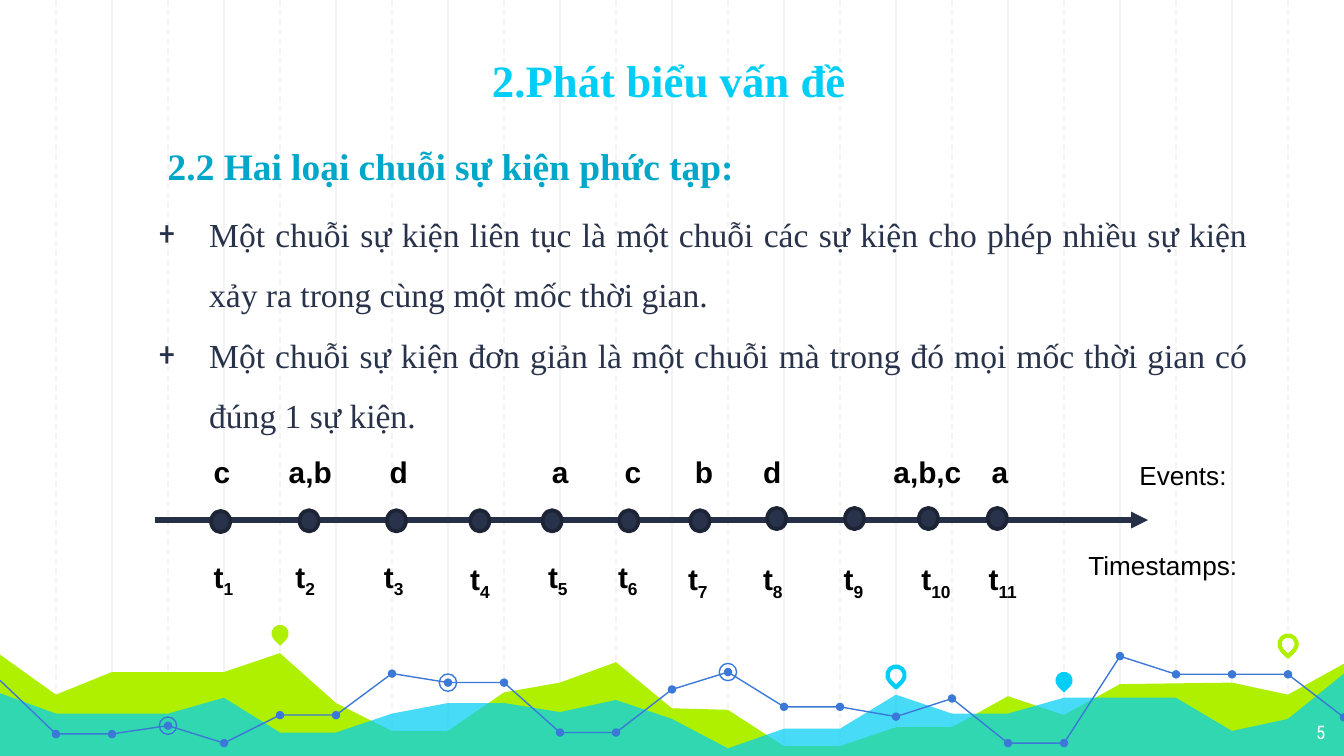
"""Build the slide on two kinds of event sequence, with a timeline above a hilly skyline."""
import pptx
import pptx.dml.color
import pptx.enum.dml
import pptx.enum.shapes
import pptx.enum.text
import pptx.oxml.xmlchemy
import pptx.util

RGBColor = pptx.dml.color.RGBColor
SHAPE = pptx.enum.shapes.MSO_SHAPE
ALIGN = pptx.enum.text.PP_ALIGN
ANCHOR = pptx.enum.text.MSO_ANCHOR

WIDTH, HEIGHT = pptx.util.Inches(10), pptx.util.Inches(5.625)
COLUMNS, ROWS = 24, 100

GRID = RGBColor(0xF3, 0xF3, 0xF3)
GREEN = RGBColor(0xAF, 0xF0, 0x00)
CYAN = RGBColor(0x00, 0xCE, 0xF6)
TEAL = RGBColor(0x00, 0xA7, 0xC8)
BLUE = RGBColor(0x3C, 0x78, 0xD8)
NAVY = RGBColor(0x28, 0x32, 0x4A)
AXIS = RGBColor(0x26, 0x2F, 0x48)
RIM = RGBColor(0x1D, 0x24, 0x36)
BLACK = RGBColor(0, 0, 0)
WHITE = RGBColor(0xFF, 0xFF, 0xFF)

BACK_HILLS = [86.6, 91.9, 88.9, 88.9, 88.9, 86.4, 93, 96.7, 96.7, 91.6, 90.3, 87.6, 93.7,
              93.9, 98.7, 98.7, 96.2, 96.2, 92.1, 94.6, 90.5, 90.4, 90.3, 91.9, 87.8]
FRONT_HILLS = [91.7, 94.4, 94.4, 94.4, 92.3, 96.9, 96.9, 94.4, 93, 93, 94.2, 92.6, 95.1,
               99, 96.4, 96.4, 91.9, 94.4, 94.4, 92.3, 92.3, 92.3, 96.7, 95.1, 89.1]
TREND = [90, 97.1, 97.1, 96, 98.3, 94.6, 94.6, 89.1, 90.3, 90.3, 96.9, 96.9, 91.2,
         88.9, 93.5, 93.5, 94.8, 92.4, 98.3, 98.3, 86.8, 89.2, 89.2, 89.2, 94.9]
TREND_BREAKS = [0, 11, 20, 24]
RINGED = [3, 8, 13]
PINS = [(5, 83.8, GREEN, True), (16, 89.3, CYAN, False),
        (19, 90, CYAN, True), (23, 85.2, GREEN, False)]

# Each moment: dot column, dot row, events, events column, timestamp column, timestamp row.
MOMENTS = [
    (3.94, 69, "c", 3.58, 3.58, 73),
    (5.52, 68.9, "a,b", 4.92, 5.04, 73),
    (7.08, 68.9, "d", 6.72, 6.62, 73),
    (8.57, 68.9, "", 0, 8.16, 73.3),
    (9.86, 68.9, "a", 9.62, 9.55, 73),
    (11.23, 68.9, "c", 10.92, 10.8, 73),
    (12.5, 68.9, "b", 12.17, 12.05, 73.3),
    (13.87, 68.6, "d", 13.39, 13.39, 73.3),
    (15.26, 68.6, "", 0, 14.83, 73.3),
    (16.58, 68.6, "a,b,c", 15.72, 16.22, 73.3),
    (17.81, 68.6, "a", 17.47, 17.42, 73.3),
]
STATEMENTS = [
    "Một chuỗi sự kiện liên tục là một chuỗi các sự kiện cho phép nhiều sự kiện "
    "xảy ra trong cùng một mốc thời gian.",
    "Một chuỗi sự kiện đơn giản là một chuỗi mà trong đó mọi mốc thời gian có đúng 1 sự kiện.",
]


def across(columns):
    """Return the length of a number of grid columns."""
    return pptx.util.Emu(round(columns * WIDTH / COLUMNS))


def down(rows):
    """Return the length of a number of grid rows."""
    return pptx.util.Emu(round(rows * HEIGHT / ROWS))


def add_element(parent, tag, **attributes):
    """Append a drawing element with its attributes."""
    element = pptx.oxml.xmlchemy.OxmlElement(tag)
    for key, value in attributes.items():
        element.set(key, value)
    parent.append(element)


def paint(shape, fill=None, line=None, weight=0.75):
    """Give a shape its fill and line, or none of either."""
    shape.shadow.inherit = False
    if fill is None:
        shape.fill.background()
    else:
        shape.fill.solid()
        shape.fill.fore_color.rgb = fill
    if line is None:
        shape.line.fill.background()
    else:
        shape.line.color.rgb = line
        shape.line.width = pptx.util.Pt(weight)


def add_mark(slide, kind, column, row, width, height, **style):
    """Add a small shape centred on a grid point, sized in columns."""
    wide, high = across(width), across(height)
    mark = slide.shapes.add_shape(
        kind, across(column) - wide // 2, down(row) - high // 2, wide, high)
    paint(mark, **style)
    return mark


def add_line(slide, start, end, color, weight, dashed=False, arrow=False):
    """Add a straight line between two grid points."""
    line = slide.shapes.add_connector(
        pptx.enum.shapes.MSO_CONNECTOR.STRAIGHT,
        across(start[0]), down(start[1]), across(end[0]), down(end[1]))
    line.line.color.rgb = color
    line.line.width = pptx.util.Pt(weight)
    if dashed:
        line.line.dash_style = pptx.enum.dml.MSO_LINE.DASH
    if arrow:
        add_element(line.line._get_or_add_ln(), "a:tailEnd", type="triangle")
    add_element(line._element.spPr, "a:effectLst")


def add_outline(slide, points, close, **style):
    """Add a free outline through grid points."""
    corners = [(across(column), down(row)) for column, row in points]
    builder = slide.shapes.build_freeform(*corners[0])
    builder.add_line_segments(corners[1:], close=close)
    outline = builder.convert_to_shape()
    paint(outline, **style)
    return outline


def add_hills(slide, ridge, color):
    """Add hills that fill the slide below a ridge."""
    points = list(enumerate(ridge)) + [(COLUMNS, ROWS), (0, ROWS)]
    return add_outline(slide, points, True, fill=color)


def style_run(run, size, color, font, bold):
    """Set the font of one run."""
    run.font.size = pptx.util.Pt(size)
    run.font.color.rgb = color
    run.font.name = font
    run.font.bold = bold


def add_text(slide, place, lines, size, color, font="Arial", bold=False,
             align=ALIGN.LEFT, anchor=ANCHOR.TOP, inset=0.05):
    """Add a text box at a grid place and return its frame."""
    column, row, width, height = place
    frame = slide.shapes.add_textbox(
        across(column), down(row), across(width), down(height)).text_frame
    frame.word_wrap = True
    frame.vertical_anchor = anchor
    frame.margin_top = frame.margin_bottom = pptx.util.Inches(inset)
    frame.text = "\n".join(lines)
    for paragraph in frame.paragraphs:
        paragraph.alignment = align
        for run in paragraph.runs:
            style_run(run, size, color, font, bold)
    return frame


def add_label(slide, column, row, text, subscript=""):
    """Add a bold timeline label, with an optional subscript."""
    width = 0.72 + 0.22 * len(subscript or text)
    frame = add_text(slide, (column, row, width, 6.6), [text], 16, BLACK, bold=True)
    if subscript:
        index = frame.paragraphs[0].add_run()
        index.text = subscript
        style_run(index, 16, BLACK, "Arial", True)
        index.font._element.set("baseline", "-25000")


def add_statements(slide):
    """Add the two justified statements with plus bullets."""
    frame = add_text(slide, (2.3, 23.8, 20.23, 64.2), STATEMENTS, 18, NAVY,
                     "Times New Roman", align=ALIGN.JUSTIFY, inset=0.1)
    for paragraph in frame.paragraphs:
        paragraph.line_spacing = 1.5
        properties = paragraph._p.get_or_add_pPr()
        properties.set("marL", str(across(1.2)))
        properties.set("indent", str(-across(0.9)))
        add_element(properties, "a:buFont", typeface="Roboto Condensed")
        add_element(properties, "a:buChar", char="+")


def add_skyline(slide):
    """Add the grid lines, hills, trend and pins behind the content."""
    for parity in (0, 1):
        for column in range(2 - parity, COLUMNS, 2):
            add_line(slide, (column, 0), (column, ROWS), GRID, 0.75, dashed=parity == 1)
    add_hills(slide, BACK_HILLS, GREEN)
    front = add_hills(slide, FRONT_HILLS, CYAN)
    add_element(front.fill._xPr.solidFill[0], "a:alpha", val="72000")
    trend = list(enumerate(TREND))
    for first, last in zip(TREND_BREAKS, TREND_BREAKS[1:]):
        add_outline(slide, trend[first:last + 1], False, line=BLUE)
    for column, row in trend[1:]:
        add_mark(slide, SHAPE.OVAL, column, row, 0.15, 0.15, fill=BLUE)
    for column in RINGED:
        add_mark(slide, SHAPE.OVAL, column, TREND[column], 0.31, 0.31, line=BLUE)
    for column, row, color, solid in PINS:
        style = {"fill": color} if solid else {"line": color, "weight": 2.25}
        add_mark(slide, SHAPE.TEAR, column, row, 0.31, 0.31, **style).rotation = 135


def add_timeline(slide):
    """Add the time axis with its dots, events and timestamps."""
    add_line(slide, (2.76, 68.8), (20.5, 68.8), AXIS, 3, arrow=True)
    for number, moment in enumerate(MOMENTS, 1):
        column, row, events, events_column, stamp_column, stamp_row = moment
        add_mark(slide, SHAPE.OVAL, column, row, 0.34, 0.38, fill=NAVY, line=RIM, weight=2)
        if events:
            add_label(slide, events_column, 59.2, events)
        add_label(slide, stamp_column, stamp_row, "t", str(number))
    add_text(slide, (20.11, 59.9, 2.2, 6), ["Events:"], 14, BLACK)
    add_text(slide, (19.2, 71.8, 3.4, 6), ["Timestamps:"], 14, BLACK)


def main():
    """Build and save the slide."""
    deck = pptx.Presentation()
    deck.slide_width, deck.slide_height = WIDTH, HEIGHT
    slide = deck.slides.add_slide(deck.slide_layouts[6])
    add_skyline(slide)
    add_text(slide, (2.76, 2, 18.36, 13.9), ["2.Phát biểu vấn đề"], 24, CYAN,
             "Times New Roman", True, ALIGN.CENTER, ANCHOR.BOTTOM, 0.1)
    add_text(slide, (22.46, 93.9, 1.44, 6.1), ["5"], 10, WHITE, "Roboto Condensed",
             align=ALIGN.RIGHT, inset=0.1)
    add_statements(slide)
    add_timeline(slide)
    add_text(slide, (2.76, 18, 15.53, 7.8), ["2.2 Hai loại chuỗi sự kiện phức tạp:"], 20,
             TEAL, "Times New Roman", True)
    deck.save("out.pptx")


if __name__ == "__main__":
    main()
